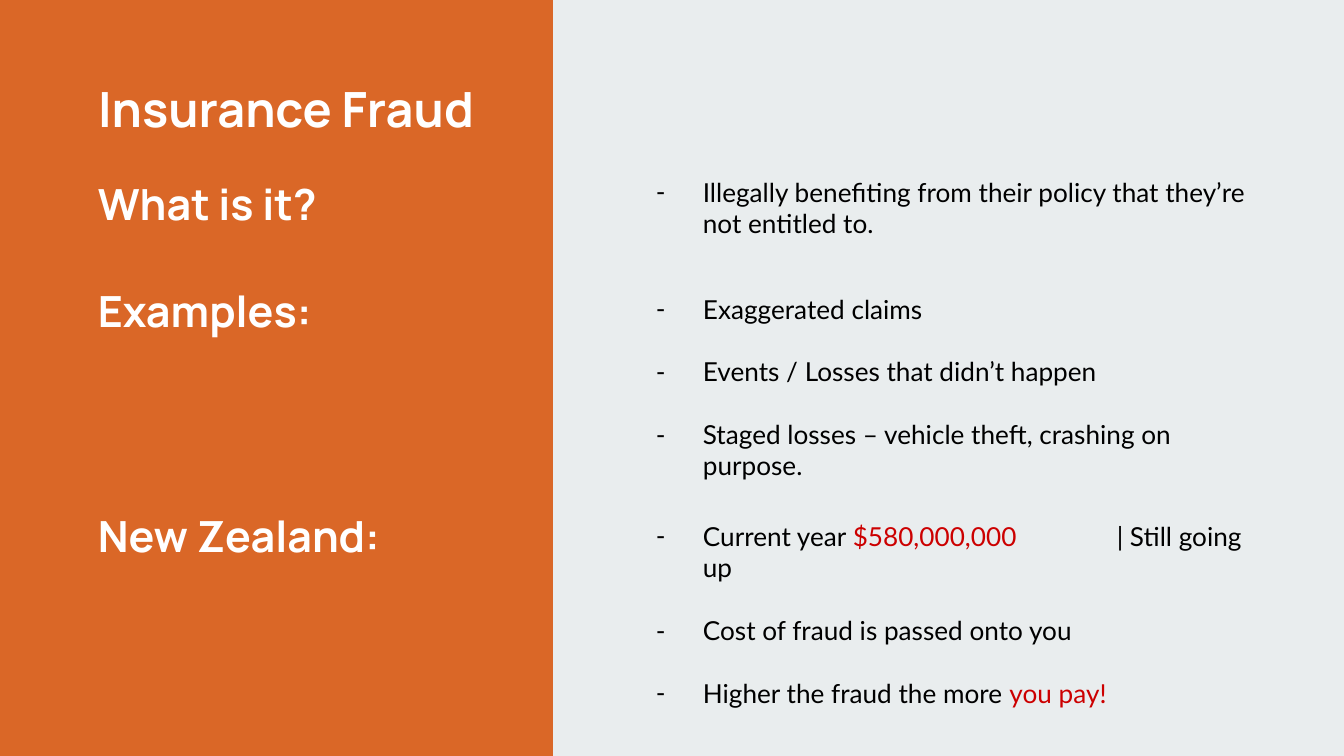
import pptx
import pptx.util
import pptx.dml.color
import pptx.enum.shapes
import pptx.enum.text
import pptx.oxml

Inches = pptx.util.Inches
Pt = pptx.util.Pt
WIDE = 10
HIGH = WIDE * 9 / 16
ORANGE, PALE, WHITE, BLACK, RED = "DA6727", "E9EDEE", "FFFFFF", "000000", "CC0000"
NS = 'xmlns:a="http://schemas.openxmlformats.org/drawingml/2006/main"'
GAP = " "  # one space, widened by letter spacing

# Each section: label, label top, list top, list height, items made of (text, colour)
PARTS = [
    ("What is it?", 1.22, 1.21, 0.67, [
        [("Illegally benefiting from their policy that they’re not entitled to.", BLACK)],
    ]),
    ("Examples:", 2.02, 2.08, 1.62, [
        [("Exaggerated claims", BLACK)],
        [("Events / Losses that didn’t happen", BLACK)],
        [("Staged losses – vehicle theft, crashing on purpose.", BLACK)],
    ]),
    ("New Zealand:", 3.69, 3.77, 1.38, [
        [("Current year ", BLACK), ("$580,000,000", RED), (GAP, BLACK),
         ("| Still going up", BLACK)],
        [("Cost of fraud is passed onto you", BLACK)],
        [("Higher the fraud the more ", BLACK), ("you pay!", RED)],
    ]),
]


def color(code):
    return pptx.dml.color.RGBColor.from_string(code)


def style(font, name, size, code, bold=False):
    font.name, font.size, font.bold = name, Pt(size), bold
    font.color.rgb = color(code)


def place(shape, left, top, width, height):
    shape.left, shape.top = Inches(left), Inches(top)
    shape.width, shape.height = Inches(width), Inches(height)
    frame = shape.text_frame
    frame.word_wrap = True
    frame.auto_size = pptx.enum.text.MSO_AUTO_SIZE.NONE
    frame.vertical_anchor = pptx.enum.text.MSO_ANCHOR.TOP
    frame.margin_left = frame.margin_right = Inches(0.1)
    frame.margin_top = frame.margin_bottom = Inches(0.1)
    return frame


def head(shape, text, box, size):
    """Write a bold white heading."""
    frame = place(shape, *box)
    frame.text = text
    line = frame.paragraphs[0]
    line.alignment = pptx.enum.text.PP_ALIGN.LEFT
    style(line.runs[0].font, "Manrope", size, WHITE, True)


def dash(line):
    """Give a paragraph a hanging dash."""
    props = line._p.get_or_add_pPr()
    props.set("marL", str(Inches(0.5)))
    props.set("indent", str(Inches(-0.35)))
    for mark in (f'<a:buClr {NS}><a:srgbClr val="{BLACK}"/></a:buClr>',
                 f'<a:buFont {NS} typeface="Lato"/>',
                 f'<a:buChar {NS} char="-"/>'):
        props.append(pptx.oxml.parse_xml(mark))


def fill_list(shape, box, items):
    """Write a dashed list with a line's gap between items."""
    frame = place(shape, *box)
    for i, item in enumerate(items):
        line = frame.add_paragraph() if i else frame.paragraphs[0]
        line.line_spacing = 1.0
        line.space_before = Pt(16.8 if i else 0)
        line.space_after = Pt(0)
        dash(line)
        for text, code in item:
            run = line.add_run()
            run.text = text
            style(run.font, "Lato", 14, code)
            if text == GAP:
                run.font._element.set("spc", "5000")


def panel(slide):
    """Draw the pale right side behind the text."""
    shape = slide.shapes.add_shape(
        pptx.enum.shapes.MSO_SHAPE.RECTANGLE,
        Inches(4.12), 0, Inches(5.88), Inches(HIGH))
    shape.shadow.inherit = False
    shape.fill.solid()
    shape.fill.fore_color.rgb = color(PALE)
    shape.line.color.rgb = color(PALE)
    shape.line.width = Pt(0.75)
    slide.shapes._spTree.insert(2, shape._element)


def main():
    deck = pptx.Presentation()
    deck.slide_width, deck.slide_height = Inches(WIDE), Inches(HIGH)
    slide = deck.slides.add_slide(deck.slide_layouts[4])
    slide.background.fill.solid()
    slide.background.fill.fore_color.rgb = color(ORANGE)
    panel(slide)

    # Title and the three lists use placeholders; the fourth body is spare
    head(slide.shapes.title, "Insurance Fraud", (0.63, 0.49, 7.78, 0.59), 26)
    first, second, third, spare = list(slide.placeholders)[1:]
    spare._element.getparent().remove(spare._element)

    # Labels on the left, lists on the right
    for body, (label, top, start, height, items) in zip((first, second, third), PARTS):
        box = slide.shapes.add_textbox(0, 0, 0, 0)
        head(box, label, (0.63, top, 3.28, 0.59), 23)
        fill_list(body, (4.63, start, 4.86, height), items)

    deck.save("out.pptx")


if __name__ == "__main__":
    main()
